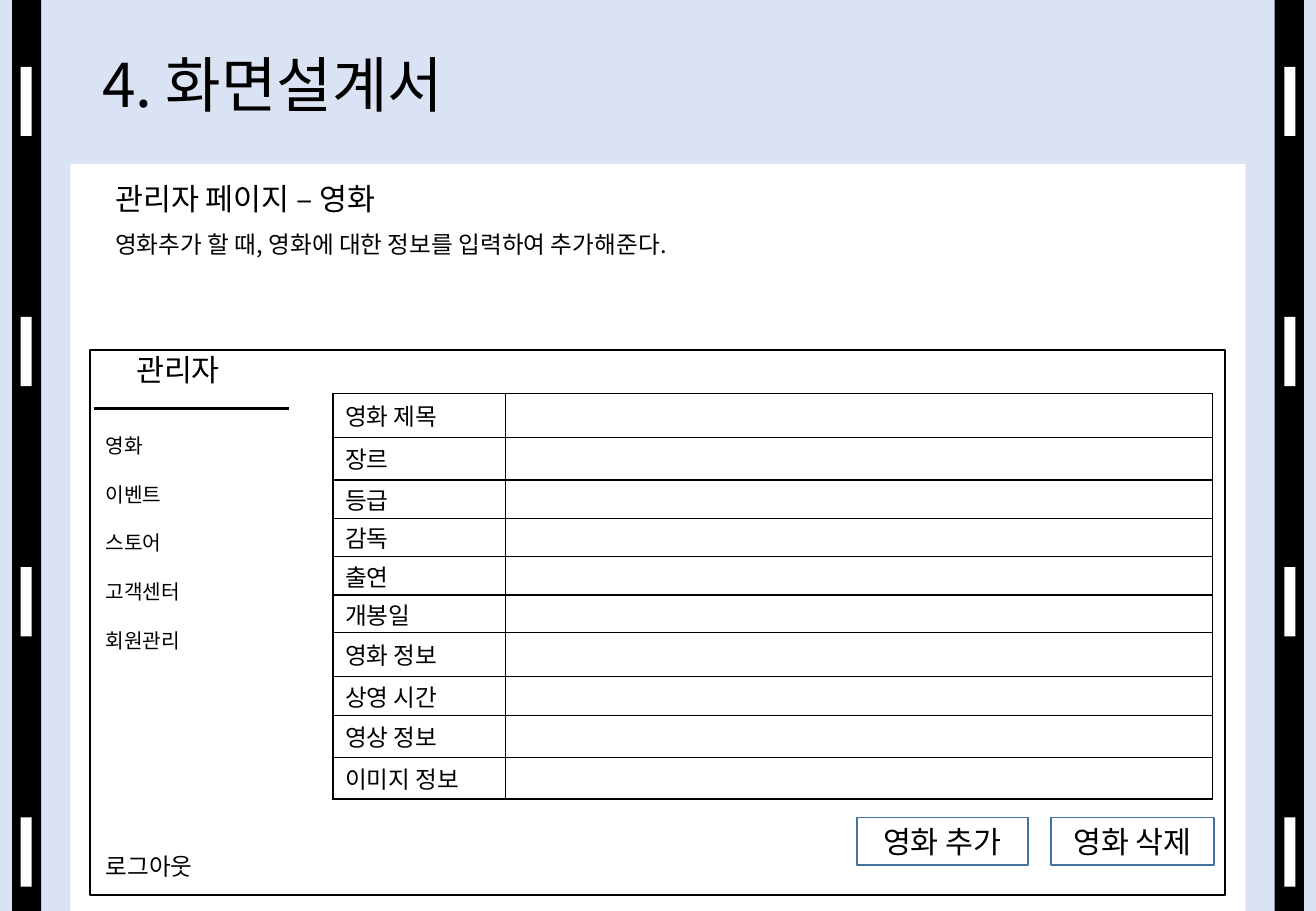
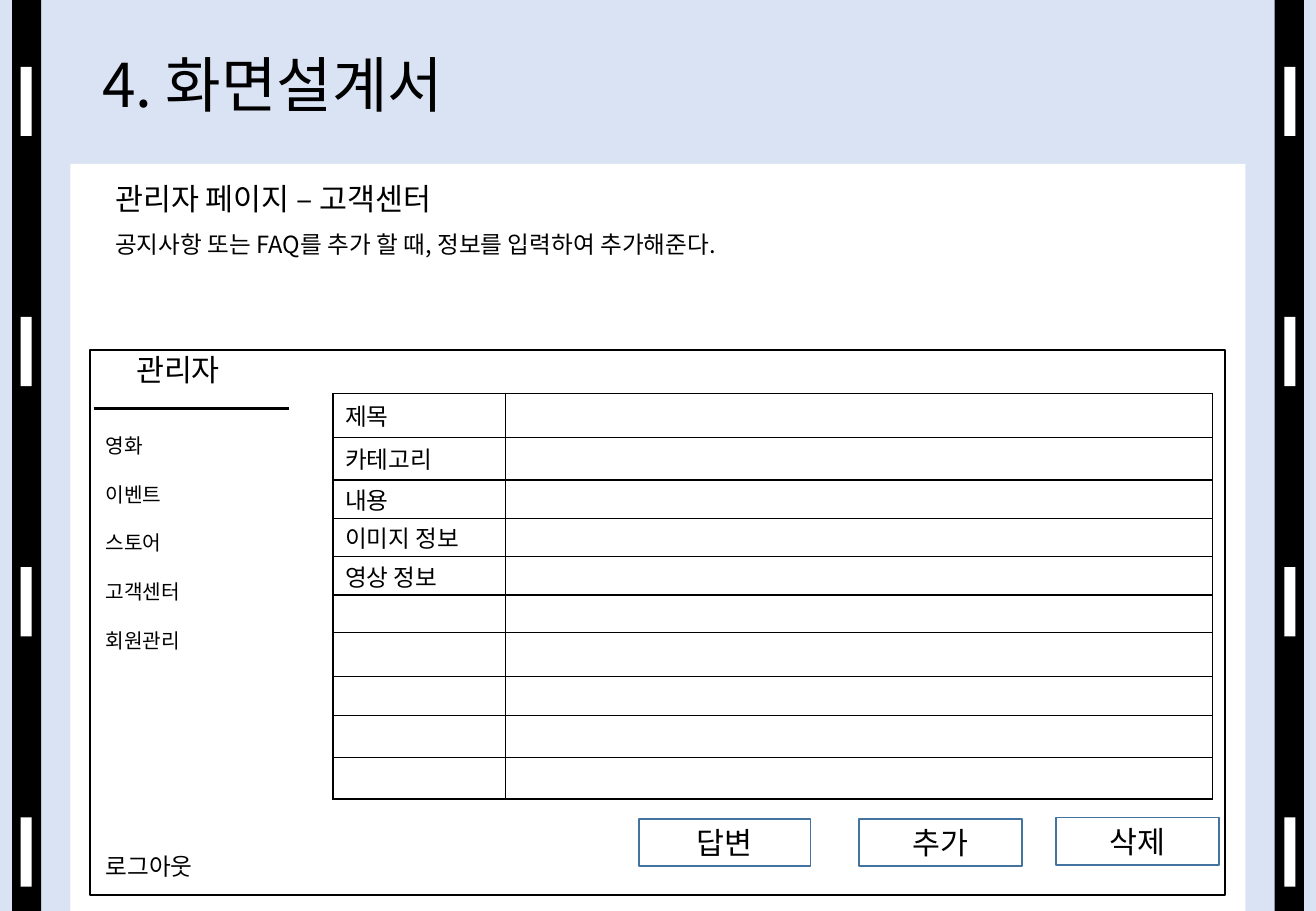
from dataclasses import dataclass
from itertools import product

from pptx import Presentation
from pptx.dml.color import RGBColor
from pptx.enum.shapes import MSO_CONNECTOR, MSO_SHAPE
from pptx.enum.text import MSO_ANCHOR, PP_ALIGN
from pptx.oxml.xmlchemy import OxmlElement
from pptx.shapes.autoshape import Shape
from pptx.slide import Slide
from pptx.table import _Cell
from pptx.text.text import TextFrame
from pptx.util import Inches, Pt

COLORS = {"sky": "DAE3F3", "black": "000000", "white": "FFFFFF", "button": "43739E"}
FONT = "Noto Sans CJK KR"
MENU = ["영화", "이벤트", "스토어", "고객센터", "회원관리"]
ROW_HEIGHTS = [0.36, 0.35, 0.32, 0.31, 0.32, 0.31, 0.36, 0.32, 0.35, 0.34]
COLUMN_WIDTHS = [1.42, 5.82]


@dataclass(frozen=True)
class Box:
    left: float
    top: float
    width: float
    height: float

    def emu(self) -> list[int]:
        return [Inches(v) for v in (self.left, self.top, self.width, self.height)]


@dataclass(frozen=True)
class Button:
    text: str
    box: Box


@dataclass(frozen=True)
class Screen:
    heading: str
    description: str
    fields: list[str]
    buttons: list[Button]


SCREENS = [
    Screen(
        "관리자 페이지 – 영화",
        "영화추가 할 때, 영화에 대한 정보를 입력하여 추가해준다.",
        ["영화 제목", "장르", "등급", "감독", "출연", "개봉일",
         "영화 정보", "상영 시간", "영상 정보", "이미지 정보"],
        [Button("영화 추가", Box(7.05, 6.73, 1.41, 0.39)),
         Button("영화 삭제", Box(8.65, 6.73, 1.34, 0.39))],
    ),
    Screen(
        "관리자 페이지 – 고객센터",
        "공지사항 또는 FAQ를 추가 할 때, 정보를 입력하여 추가해준다.",
        ["제목", "카테고리", "내용", "이미지 정보", "영상 정보"],
        [Button("답변", Box(5.26, 6.74, 1.41, 0.39)),
         Button("추가", Box(7.07, 6.74, 1.34, 0.39)),
         Button("삭제", Box(8.69, 6.73, 1.34, 0.39))],
    ),
]


def rgb(name: str) -> RGBColor:
    return RGBColor.from_string(COLORS[name])


def format_text(tf: TextFrame, size: float, latin: str = FONT) -> None:
    for p in tf.paragraphs:
        for r in p.runs:
            r.font.size = Pt(size)
            r.font.name = latin
            r.font.color.rgb = rgb("black")
            ea = OxmlElement("a:ea")
            ea.set("typeface", FONT)
            r.font._element.find("{*}latin").addnext(ea)


def add_rect(s: Slide, box: Box, fill: str = "", line: str = "") -> Shape:
    sp = s.shapes.add_shape(MSO_SHAPE.RECTANGLE, *box.emu())
    sp.shadow.inherit = False
    if fill:
        sp.fill.solid()
        sp.fill.fore_color.rgb = rgb(fill)
    else:
        sp.fill.background()
    if line:
        sp.line.color.rgb = rgb(line)
        sp.line.width = Pt(1)
    else:
        sp.line.fill.background()
    return sp


def add_text(s: Slide, box: Box, text: str, size: float,
             latin: str = FONT, indent: float = 0.1) -> TextFrame:
    tf = s.shapes.add_textbox(*box.emu()).text_frame
    tf.word_wrap = True
    tf.margin_left = Inches(indent)
    tf.margin_top = Inches(0.01)
    tf.text = text
    format_text(tf, size, latin)
    return tf


def add_rule(s: Slide, left: float, right: float, y: float) -> None:
    line = s.shapes.add_connector(
        MSO_CONNECTOR.STRAIGHT, Inches(left), Inches(y), Inches(right), Inches(y))
    line.line.color.rgb = rgb("black")
    line.line.width = Pt(1.75)
    line._element.spPr.append(OxmlElement("a:effectLst"))


def add_button(s: Slide, button: Button) -> None:
    sp = add_rect(s, button.box, "white", "button")
    tf = sp.text_frame
    tf.margin_top = tf.margin_bottom = 0
    tf.vertical_anchor = MSO_ANCHOR.MIDDLE
    tf.text = button.text
    tf.paragraphs[0].alignment = PP_ALIGN.CENTER
    format_text(tf, 18)


def set_border(cell: _Cell, side: str, width: float) -> None:
    ln = OxmlElement(f"a:ln{side}")
    ln.set("w", str(Pt(width)))
    fill, color = OxmlElement("a:solidFill"), OxmlElement("a:srgbClr")
    color.set("val", COLORS["black"])
    fill.append(color)
    ln.append(fill)
    cell._tc.get_or_add_tcPr().append(ln)


def format_cell(cell: _Cell, column: int, text: str) -> None:
    widths = {"L": 0.5 if column else 1, "R": 1 if column else 0.5, "T": 1, "B": 1}
    for side, width in widths.items():
        set_border(cell, side, width)
    cell.fill.solid()
    cell.fill.fore_color.rgb = rgb("white")
    cell.margin_top = cell.margin_bottom = 0
    cell.vertical_anchor = MSO_ANCHOR.MIDDLE
    if text:
        cell.text = text
        format_text(cell.text_frame, 14)
    else:
        end = OxmlElement("a:endParaRPr")
        end.set("sz", "1400")
        cell.text_frame.paragraphs[0]._p.append(end)


def add_form(s: Slide, fields: list[str]) -> None:
    box = Box(2.74, 3.24, sum(COLUMN_WIDTHS), sum(ROW_HEIGHTS))
    table = s.shapes.add_table(len(ROW_HEIGHTS), len(COLUMN_WIDTHS), *box.emu()).table
    table.first_row = table.horz_banding = False
    for column, width in zip(table.columns, COLUMN_WIDTHS):
        column.width = Inches(width)
    for row, height in zip(table.rows, ROW_HEIGHTS):
        row.height = Inches(height)
    for i, j in product(range(len(ROW_HEIGHTS)), range(len(COLUMN_WIDTHS))):
        text = fields[i] if j == 0 and i < len(fields) else ""
        format_cell(table.cell(i, j), j, text)


def add_film_strips(prs: Presentation, s: Slide) -> None:
    master = prs.slide_master
    master.background.fill.solid()
    master.background.fill.fore_color.rgb = rgb("sky")
    strips = []
    for band_left, hole_left in ((0.1, 0.17), (10.49, 10.57)):
        strips.append(add_rect(s, Box(band_left, 0, 0.24, 7.5), "black"))
        strips += [add_rect(s, Box(hole_left, 0.55 + 2.06 * i, 0.09, 0.57), "white")
                   for i in range(4)]
    for i, sp in enumerate(strips):
        master.shapes._spTree.insert(2 + i, sp._element)


def add_title(s: Slide) -> None:
    title = s.shapes.title
    title.left, title.top, title.width, title.height = Box(0.74, 0, 9.34, 1.45).emu()
    tf = title.text_frame
    tf.text = "4. 화면설계서"
    tf.vertical_anchor = MSO_ANCHOR.MIDDLE
    tf.paragraphs[0].alignment = PP_ALIGN.LEFT
    tf.paragraphs[0].line_spacing = 0.9
    format_text(tf, 35.8)


def add_sidebar(s: Slide) -> None:
    add_text(s, Box(0.74, 2.88, 1.76, 0.4), "관리자", 18, indent=0.38)
    add_rule(s, 0.77, 2.38, 3.36)
    menu = add_text(s, Box(0.77, 3.36, 1.61, 2.09), "\n".join(MENU), 12)
    for p in menu.paragraphs:
        p.line_spacing = Pt(28.8)
    add_text(s, Box(0.77, 7, 1.18, 0.34), "로그아웃", 14)


def add_screen(s: Slide, screen: Screen) -> None:
    add_title(s)
    add_rect(s, Box(0.58, 1.35, 9.67, 6.15), "white")
    add_rect(s, Box(0.74, 2.88, 9.34, 4.49), line="black")
    add_sidebar(s)
    add_form(s, screen.fields)
    for button in screen.buttons:
        add_button(s, button)
    add_text(s, Box(0.85, 1.47, 3.94, 0.4), screen.heading, 18, "Arial")
    add_text(s, Box(0.85, 1.88, 9.24, 0.34), screen.description, 14)


def main() -> None:
    prs = Presentation()
    prs.slide_width, prs.slide_height = Inches(10.83), Inches(7.5)
    slides = [prs.slides.add_slide(prs.slide_layouts[5]) for _ in SCREENS]
    add_film_strips(prs, slides[0])
    for s, screen in zip(slides, SCREENS):
        add_screen(s, screen)
    prs.save("out.pptx")


main()
